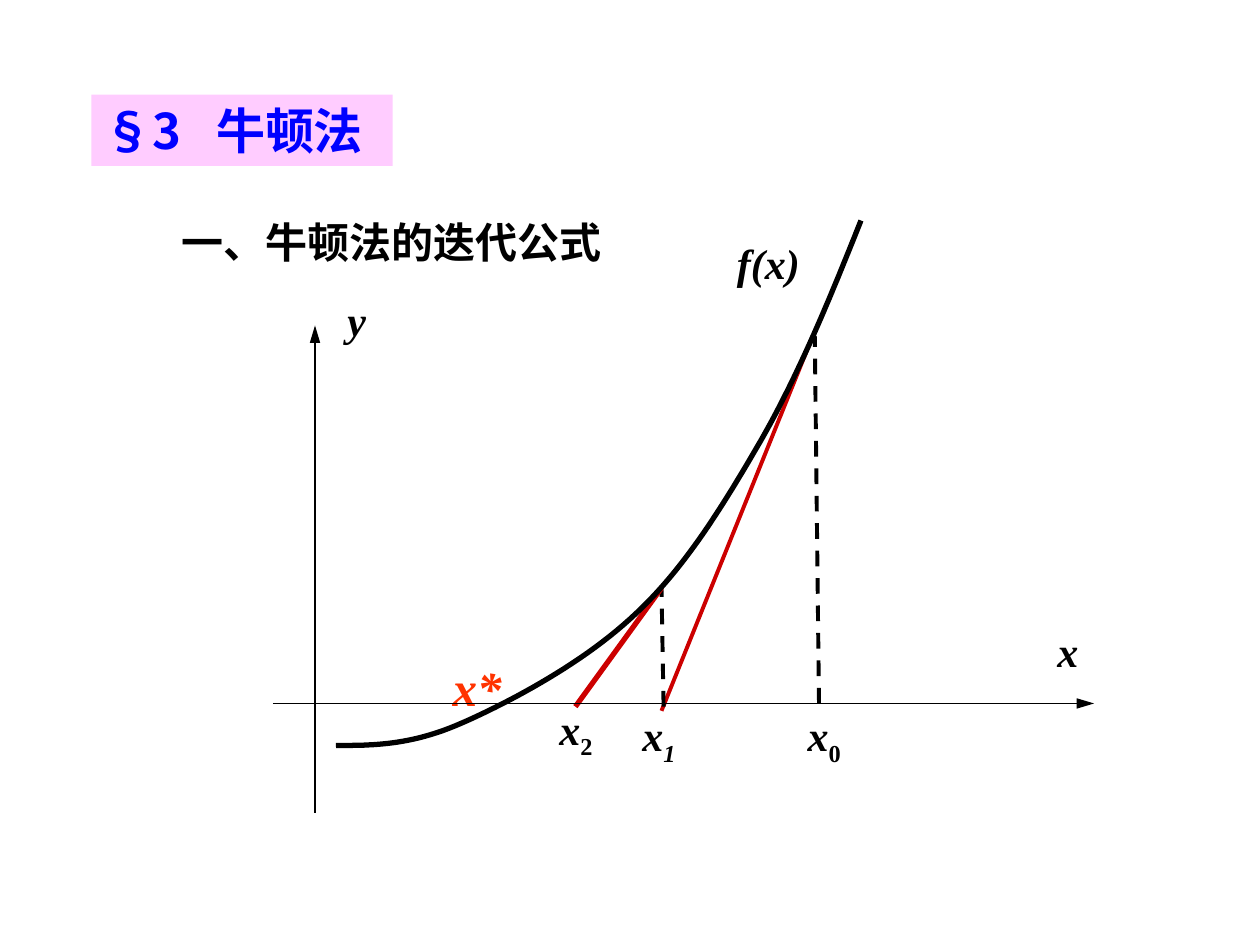
from pptx import Presentation, util as u
from pptx.dml.color import RGBColor
from pptx.enum import dml, shapes, text
from pptx.oxml.ns import qn
from lxml import etree

CELL = u.Inches(10) // 120  # grid of 120 columns by 90 rows
BLACK, RED = "000000", "CC0000"

prs = Presentation()
prs.slide_width, prs.slide_height = 120 * CELL, 90 * CELL
s = prs.slides.add_slide(prs.slide_layouts[6])


def add_text(words, col, row, cols, rows, sub="", size=24, color=BLACK, italic=True,
             sub_italic=False, center=False, wrap=True, font="Times New Roman",
             fill=None, tab=None):
    sp = s.shapes.add_textbox(*(int(n * CELL) for n in (col, row, cols, rows)))
    if fill:
        sp.fill.solid()
        sp.fill.fore_color.rgb = RGBColor.from_string(fill)
    tf = sp.text_frame
    tf.word_wrap = wrap
    p = tf.paragraphs[0]
    p.alignment = text.PP_ALIGN.CENTER if center else text.PP_ALIGN.LEFT
    if tab:
        stops = etree.SubElement(p._p.get_or_add_pPr(), qn("a:tabLst"))
        etree.SubElement(stops, qn("a:tab"), pos=str(int(tab * CELL)), algn="l")
    for part, slanted in ((words, italic), (sub, sub_italic)):
        if not part:
            continue
        r = p.add_run()
        r.text = part
        f = r.font
        f.name, f.size, f.bold, f.italic = font, u.Pt(size), True, slanted
        f.color.rgb = RGBColor.from_string(color)
        rPr = f._element
        etree.SubElement(rPr, qn("a:ea"), typeface="Noto Sans CJK SC")
        if part == sub:
            rPr.set("baseline", "-25000")


def add_line(x1, y1, x2, y2, color=BLACK, width=2.25, dash=False, arrow=False):
    c = s.shapes.add_connector(shapes.MSO_CONNECTOR.STRAIGHT,
                               *(int(n * CELL) for n in (x1, y1, x2, y2)))
    c.line.color.rgb = RGBColor.from_string(color)
    c.line.width = u.Pt(width)
    if dash:
        c.line.dash_style = dml.MSO_LINE.DASH
    if arrow:
        etree.SubElement(c.line._get_or_add_ln(), qn("a:tailEnd"), type="triangle", len="lg")
    etree.SubElement(c._element.spPr, qn("a:effectLst"))


# Headings
add_text("§3\t牛顿法", 8.7, 9, 28.7, 6.8, size=28, color="0000FF", italic=False,
         font="Noto Sans CJK SC", fill="FFCCFF", tab=10.7)
add_text("一、牛顿法的迭代公式", 16.1, 20, 42.4, 6, italic=False, wrap=False)

# Root and iterates
add_text("x*", 38, 62, 14.9, 6.8, size=28, color="FF3300", center=True)
add_text("x", 72, 67, 13, 6.7, sub="0", center=True)
add_text("x", 60, 67, 7, 6.7, sub="1", sub_italic=True)
add_text("x", 52.1, 66.4, 7, 6.7, sub="2")

# Ordinates and tangents
add_line(78, 67, 77.6, 32, dash=True)
add_line(77, 33, 63, 67.7, RED)
add_line(63.2, 67.3, 63, 56, dash=True)
add_line(63, 56, 54.8, 67.3, RED, 3)

# Axes
add_line(26, 67, 104.2, 67, width=1, arrow=True)
add_line(30, 77.4, 30, 31, width=1, arrow=True)
add_text("x", 97, 59, 9.4, 6, center=True)
add_text("y", 31.9, 27.5, 7.8, 6)

# Curve: cubic Bezier pieces sampled at equal steps
start = (32, 71)
pieces = [
    ((35.5, 71), (39.1, 71), (43.9, 68.9)),
    ((48.7, 66.8), (55.8, 63), (60.6, 58.4)),
    ((65.3, 54), (68.9, 48.1), (72.5, 41.9)),
    ((76.1, 35.6), (79.1, 28.3), (82, 21)),
]
STEPS = 24
points = []
p0 = start
for p1, p2, p3 in pieces:
    for i in range(1, STEPS + 1):
        t = i / STEPS
        points.append(tuple(
            (1 - t) ** 3 * a + 3 * t * (1 - t) ** 2 * b + 3 * t * t * (1 - t) * c + t ** 3 * d
            for a, b, c, d in zip(p0, p1, p2, p3)))
    p0 = p3
fb = s.shapes.build_freeform(*(n * CELL for n in start))
fb.add_line_segments([(x * CELL, y * CELL) for x, y in points], close=False)
curve = fb.convert_to_shape()
curve.shadow.inherit = False
curve.fill.background()
curve.line.color.rgb = RGBColor.from_string(BLACK)
curve.line.width = u.Pt(3)
add_text("f(x)", 69, 22, 8.4, 6, wrap=False)

prs.save("out.pptx")
